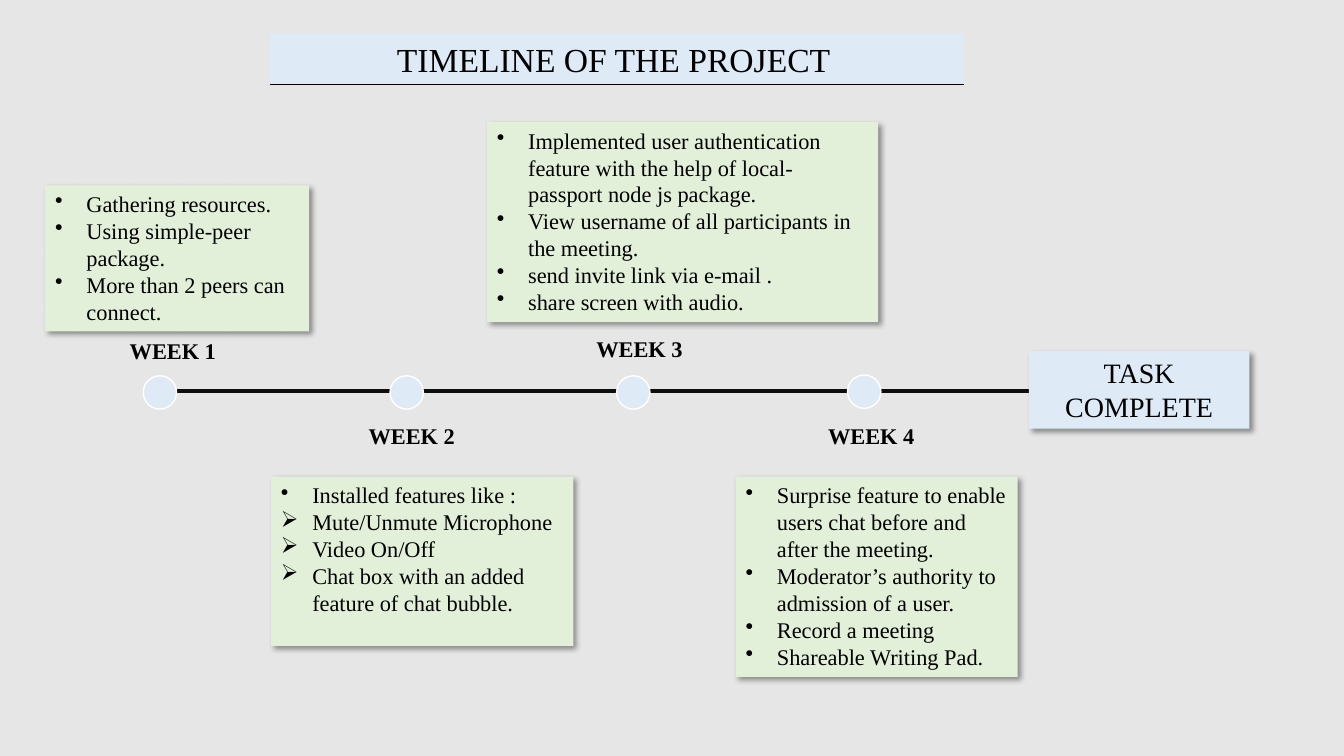
from dataclasses import dataclass
from typing import Any

import lxml.etree
import pptx
import pptx.dml.color
import pptx.enum.shapes
import pptx.enum.text
import pptx.oxml.ns
import pptx.util

Cm = pptx.util.Cm
Pt = pptx.util.Pt
qn = pptx.oxml.ns.qn
SHAPES = pptx.enum.shapes.MSO_SHAPE
ALIGN = pptx.enum.text.PP_ALIGN


@dataclass(frozen=True)
class Theme:
    font: str = "Times New Roman"
    backdrop: str = "E7E6E6"
    blue: str = "DEEBF7"
    green: str = "E2F0D9"
    axis: str = "0D0D0D"
    ink: str = "000000"
    white: str = "FFFFFF"
    title: int = 24
    goal: int = 20
    body: int = 16


@dataclass(frozen=True)
class Box:
    left: float
    top: float
    width: float
    height: float

    def lengths(self) -> list[int]:
        return [Cm(n) for n in (self.left, self.top, self.width, self.height)]


@dataclass(frozen=True)
class Item:
    text: str
    bullet: str = ""


@dataclass(frozen=True)
class Week:
    name: str
    label: Box
    dot: Box
    card: Box
    tasks: list[Item]


THEME = Theme()
DOT = 0.84
LABEL_HEIGHT = 0.94
AXIS_Y = 9.85
INDENT = 0.79
DISC, ARROW = "\u2022", "\u27a2"


def rgb(code: str) -> pptx.dml.color.RGBColor:
    return pptx.dml.color.RGBColor.from_string(code)


def apply(target: Any, values: dict[str, Any]) -> None:
    for name, value in values.items():
        setattr(target, name, value)


def add_shadow(shape: Any) -> None:
    effects = shape.element.spPr.find(qn("a:effectLst"))
    outer = lxml.etree.SubElement(
        effects, qn("a:outerShdw"), blurRad=str(Pt(4)), dist=str(Pt(3)),
        dir="2700000", algn="tl", rotWithShape="0")
    color = lxml.etree.SubElement(outer, qn("a:srgbClr"), val=THEME.ink)
    lxml.etree.SubElement(color, qn("a:alpha"), val="40000")


def add_bullet(paragraph: Any, mark: str) -> None:
    properties = paragraph._p.get_or_add_pPr()
    properties.set("marL", str(Cm(INDENT)))
    properties.set("indent", str(-Cm(INDENT)))
    lxml.etree.SubElement(properties, qn("a:buChar"), char=mark)


def write(shape: Any, items: list[Item], size: int, bold: bool = False,
          align: Any = ALIGN.LEFT) -> None:
    frame = shape.text_frame
    apply(frame, {"word_wrap": True,
                  "vertical_anchor": pptx.enum.text.MSO_ANCHOR.TOP})
    for number, item in enumerate(items):
        paragraph = frame.add_paragraph() if number else frame.paragraphs[0]
        paragraph.alignment = align
        if item.bullet:
            add_bullet(paragraph, item.bullet)
        run = paragraph.add_run()
        run.text = item.text
        apply(run.font, {"name": THEME.font, "size": Pt(size), "bold": bold})
        run.font.color.rgb = rgb(THEME.ink)


def add_panel(slide: Any, box: Box, fill: str, kind: Any = SHAPES.RECTANGLE,
              outline: str = "", shadow: bool = False) -> Any:
    panel = slide.shapes.add_shape(kind, *box.lengths())
    panel.shadow.inherit = False
    panel.fill.solid()
    panel.fill.fore_color.rgb = rgb(fill)
    if outline:
        panel.line.color.rgb = rgb(outline)
        panel.line.width = Pt(1)
    else:
        panel.line.fill.background()
    if shadow:
        add_shadow(panel)
    return panel


def add_rule(slide: Any, start: float, end: float, y: float, color: str, weight: float) -> None:
    rule = slide.shapes.add_connector(
        pptx.enum.shapes.MSO_CONNECTOR.STRAIGHT, Cm(start), Cm(y), Cm(end), Cm(y))
    rule.line.color.rgb = rgb(color)
    rule.line.width = Pt(weight)
    lxml.etree.SubElement(rule.element.spPr, qn("a:effectLst"))


def add_week(slide: Any, week: Week) -> None:
    add_panel(slide, week.dot, THEME.blue, SHAPES.OVAL, THEME.white)
    card = add_panel(slide, week.card, THEME.green, shadow=True)
    write(card, week.tasks, THEME.body)
    label = slide.shapes.add_textbox(*week.label.lengths())
    write(label, [Item(week.name)], THEME.body, bold=True)


WEEKS = [
    Week("WEEK 1", Box(3.02, 8.38, 3.76, LABEL_HEIGHT), Box(3.61, 9.47, DOT, DOT),
         Box(1.14, 4.67, 6.65, 3.68), [
             Item("Gathering resources.", DISC),
             Item("Using simple-peer package.", DISC),
             Item("More than 2 peers can connect.", DISC)]),
    Week("WEEK 2", Box(9.04, 10.52, 3.73, LABEL_HEIGHT), Box(9.83, 9.47, DOT, DOT),
         Box(6.83, 12.01, 7.62, 4.27), [
             Item("Installed features like :", DISC),
             Item("Mute/Unmute Microphone", ARROW),
             Item("Video On/Off", ARROW),
             Item("Chat box with an added feature of chat bubble.", ARROW)]),
    Week("WEEK 3", Box(14.78, 8.33, 4.47, LABEL_HEIGHT), Box(15.54, 9.47, DOT, DOT),
         Box(12.27, 3.07, 9.86, 5.05), [
             Item("Implemented user authentication feature with the help of "
                  "local- passport node js package.", DISC),
             Item("View username of all participants in the meeting.", DISC),
             Item("send invite link via e-mail .", DISC),
             Item("share screen with audio.", DISC)]),
    Week("WEEK 4", Box(20.62, 10.52, 3.66, LABEL_HEIGHT), Box(21.36, 9.45, DOT, DOT),
         Box(18.54, 12.01, 7.11, 5.05), [
             Item("Surprise feature to enable users chat before and after the meeting.", DISC),
             Item("Moderator\u2019s authority to admission of a user.", DISC),
             Item("Record a meeting", DISC),
             Item("Shareable Writing Pad.", DISC)]),
]
TITLE = Box(6.81, 0.86, 17.48, 1.27)
GOAL = Box(25.93, 8.84, 5.56, 1.96)

deck = pptx.Presentation()
apply(deck, {"slide_width": Cm(33.87), "slide_height": Cm(19.05)})
timeline = deck.slides.add_slide(deck.slide_layouts[6])
timeline.background.fill.solid()
timeline.background.fill.fore_color.rgb = rgb(THEME.backdrop)

heading = add_panel(timeline, TITLE, THEME.blue)
write(heading, [Item("TIMELINE OF THE PROJECT")], THEME.title, align=ALIGN.CENTER)
heading.text_frame.margin_right = Cm(0.42)
add_rule(timeline, TITLE.left, TITLE.left + TITLE.width, TITLE.top + TITLE.height, THEME.ink, 1)

add_rule(timeline, WEEKS[0].dot.left + DOT / 2, GOAL.left, AXIS_Y, THEME.axis, 3)
for entry in WEEKS:
    add_week(timeline, entry)
goal = add_panel(timeline, GOAL, THEME.blue, shadow=True)
write(goal, [Item("TASK"), Item("COMPLETE")], THEME.goal, align=ALIGN.CENTER)

deck.save("out.pptx")
